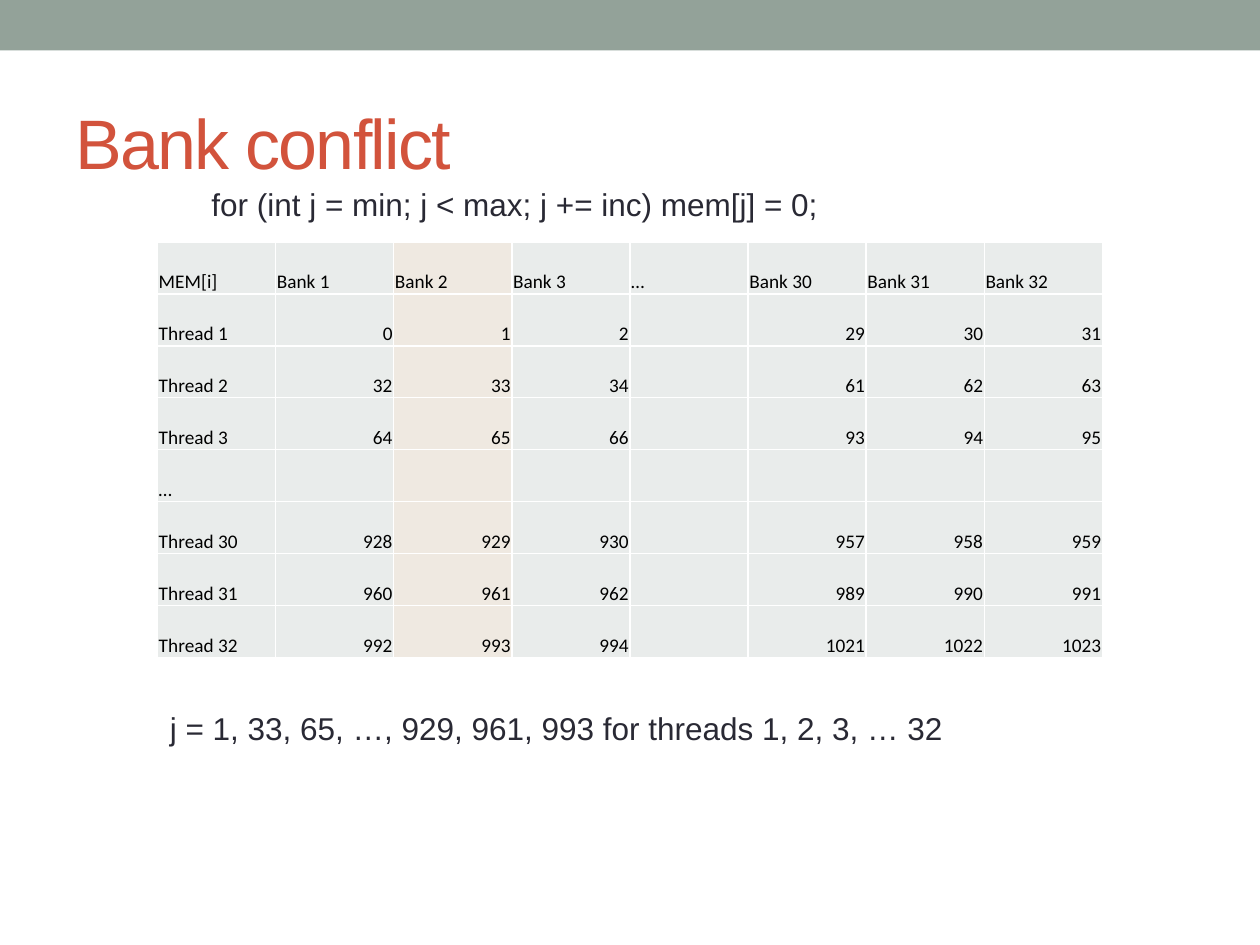
import pptx
import pptx.dml.color
import pptx.enum.shapes
import pptx.enum.text
import pptx.oxml
import pptx.oxml.ns
import pptx.util

Inches = pptx.util.Inches
Pt = pptx.util.Pt
RGBColor = pptx.dml.color.RGBColor
ANCHOR = pptx.enum.text.MSO_ANCHOR

SAGE = RGBColor(0x93, 0xA2, 0x99)
RUST = RGBColor(0xD2, 0x53, 0x3C)
INK = RGBColor(0x29, 0x29, 0x34)
BLACK = RGBColor(0, 0, 0)
CELL = RGBColor(0xE9, 0xEC, 0xEB)
CONFLICT = RGBColor(0xEF, 0xE9, 0xE1)

GAP = "…"
INDICES = [1, 2, 3, GAP, 30, 31, 32]
BANKS = 32
CONFLICT_COL = 2


def add_run(p, text, font, size, color):
    r = p.add_run()
    r.text = text
    r.font.name = font
    r.font.size = Pt(size)
    r.font.color.rgb = color
    return r


def add_top_band(slide, left, top, width, height):
    sp = slide.shapes.add_shape(
        pptx.enum.shapes.MSO_SHAPE.RECTANGLE, left, top, width, height)
    sp.shadow.inherit = False
    sp.fill.solid()
    sp.fill.fore_color.rgb = SAGE
    sp.line.fill.background()


def add_text(slide, left, top, width, height, text, size=18, color=INK,
             anchor=ANCHOR.TOP):
    tf = slide.shapes.add_textbox(left, top, width, height).text_frame
    tf.word_wrap = True
    tf.vertical_anchor = anchor
    return add_run(tf.paragraphs[0], text, "Arial", size, color)


def add_title(slide, left, top, width, height, text):
    r = add_text(slide, left, top, width, height, text, 40, RUST, ANCHOR.MIDDLE)
    r.font._element.set("spc", "-100")


def bank_rows():
    """Address held by each bank, one row of cell texts per thread."""
    rows = [["MEM[i]"] + [GAP if b == GAP else f"Bank {b}" for b in INDICES]]
    for thread in INDICES:
        if thread == GAP:
            rows.append([GAP] + [""] * len(INDICES))
        else:
            start = (thread - 1) * BANKS
            rows.append([f"Thread {thread}"] + [
                "" if b == GAP else str(start + b - 1) for b in INDICES])
    return rows


def set_white_borders(cell):
    tcPr = cell._tc.get_or_add_tcPr()
    for side in ("lnL", "lnR", "lnT", "lnB"):
        tcPr.append(pptx.oxml.parse_xml(
            f'<a:{side} {pptx.oxml.ns.nsdecls("a")} w="{Pt(1)}"><a:solidFill>'
            f'<a:srgbClr val="FFFFFF"/></a:solidFill></a:{side}>'))


def add_bank_table(slide, left, top, width, height):
    rows = bank_rows()
    table = slide.shapes.add_table(
        len(rows), len(rows[0]), left, top, width, height).table
    for i, row in enumerate(rows):
        for j, text in enumerate(row):
            cell = table.cell(i, j)
            set_white_borders(cell)
            cell.fill.solid()
            cell.fill.fore_color.rgb = CONFLICT if j == CONFLICT_COL else CELL
            cell.vertical_anchor = ANCHOR.BOTTOM
            cell.margin_left = cell.margin_right = cell.margin_top = Inches(0.01)
            cell.margin_bottom = 0
            if text:
                p = cell.text_frame.paragraphs[0]
                if i and j:
                    p.alignment = pptx.enum.text.PP_ALIGN.RIGHT
                r = add_run(p, text, "Calibri", 11, BLACK)
                r.font.bold = False


def main():
    prs = pptx.Presentation()
    prs.slide_width, prs.slide_height = Inches(10), Inches(7.5)
    slide = prs.slides.add_slide(prs.slide_layouts[6])
    add_top_band(slide, 0, 0, prs.slide_width, Inches(0.4))
    add_bank_table(slide, Inches(1.25), Inches(1.92), Inches(7.5), Inches(3.3))
    add_title(slide, Inches(0.5), Inches(0.58), Inches(9), Inches(1.08),
              "Bank conflict")
    add_text(slide, Inches(1.58), Inches(1.42), Inches(7), Inches(0.42),
             "for (int j = min; j < max; j += inc) mem[j] = 0;")
    add_text(slide, Inches(1.25), Inches(5.58), Inches(7.17), Inches(0.4),
             "j = 1, 33, 65, …, 929, 961, 993 for threads 1, 2, 3, … 32")
    prs.save("out.pptx")


if __name__ == "__main__":
    main()
